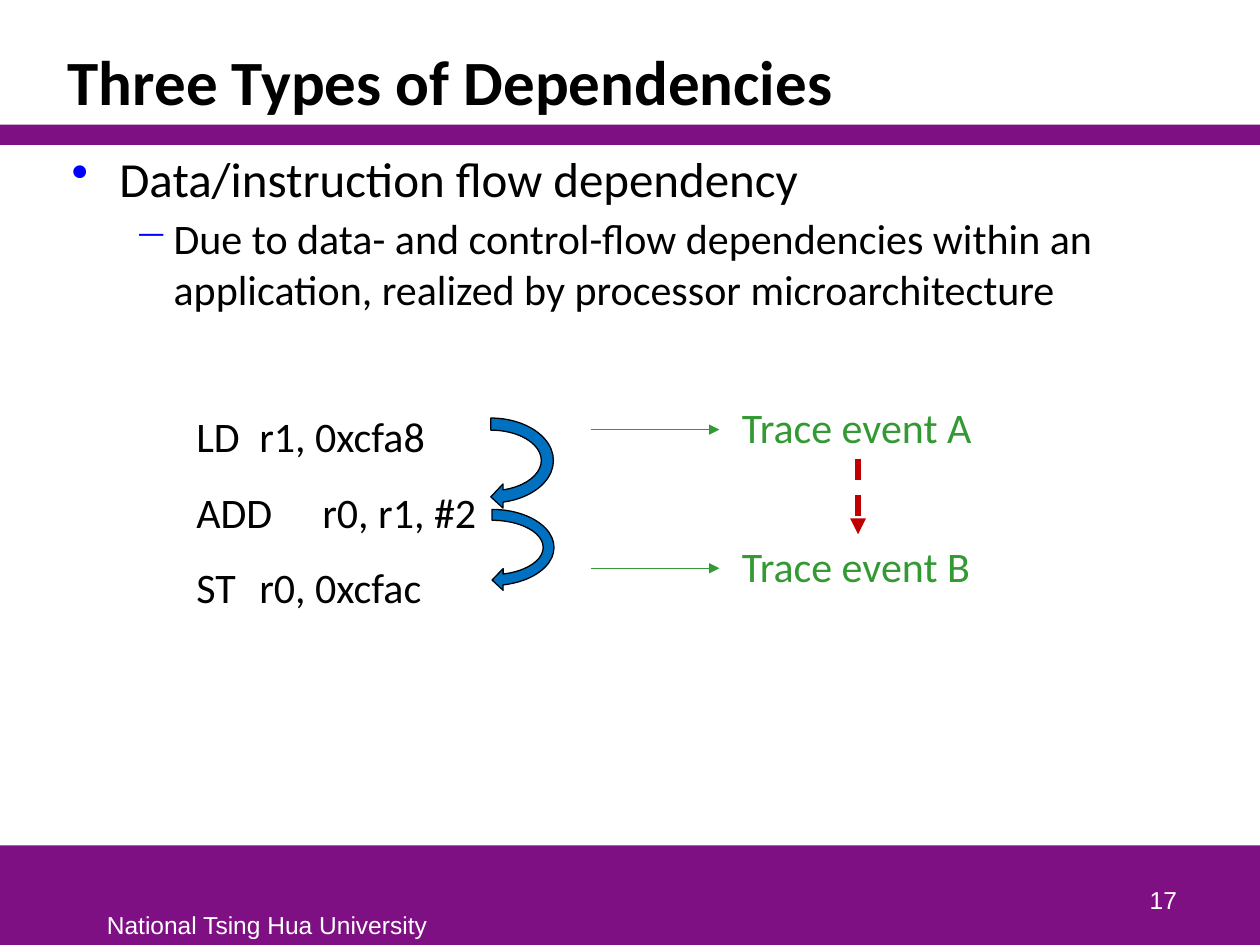
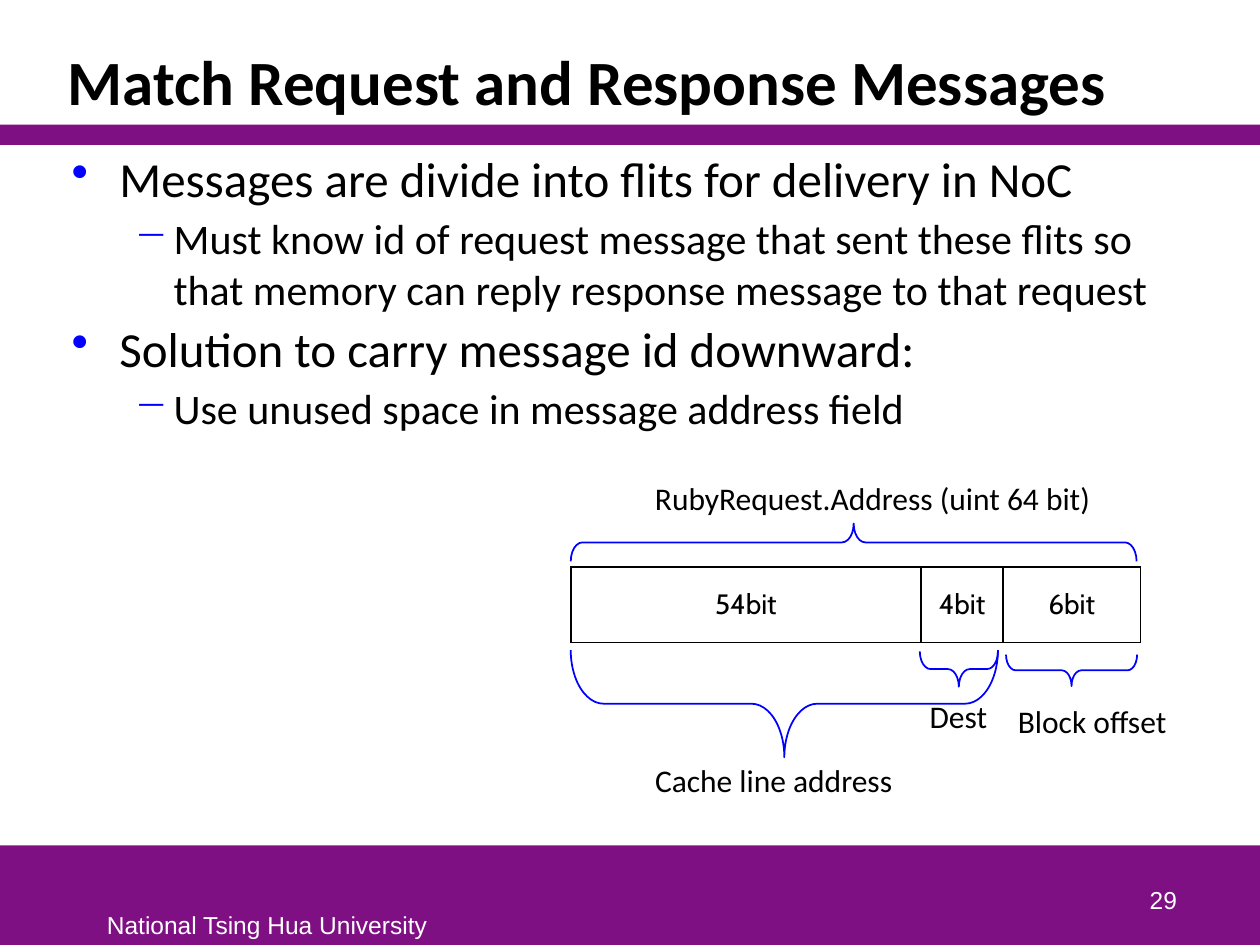
from lxml.etree import SubElement
from pptx import Presentation
from pptx.dml.color import RGBColor
from pptx.enum.dml import MSO_LINE
from pptx.enum.shapes import MSO_CONNECTOR, MSO_SHAPE
from pptx.enum.text import MSO_ANCHOR, MSO_AUTO_SIZE, PP_ALIGN
from pptx.oxml.ns import qn
from pptx.util import Inches, Pt

# The slide is a grid of 100 columns by 75 rows.
WIDTH, HEIGHT = Inches(10), Inches(7.5)
COLS, ROWS = 100, 75
PURPLE, BLUE, GREEN, RED = "7F1084", "0000FF", "339933", "C00000"
BLACK, WHITE, ARROW = "000000", "FFFFFF", "0070C0"
# Each level: bullet, size, left edge and hanging indent in inches
LEVELS = [("•", 28, 0.38, 0.38), ("−", 24, 0.81, 0.31)]


def color(code):
    return RGBColor.from_string(code)


def place(x, y, w, h):
    """Turn columns and rows into slide lengths."""
    return (round(x * WIDTH / COLS), round(y * HEIGHT / ROWS),
            round(w * WIDTH / COLS), round(h * HEIGHT / ROWS))


def style(para, words, size=18, font="Calibri", ink=BLACK, bold=False,
          align=PP_ALIGN.LEFT, lead=None, before=None):
    para.add_run().text = words
    para.alignment = align
    if lead:
        para.line_spacing = lead
    if before:
        para.space_before = Pt(before)
    para.font.size, para.font.name, para.font.bold = Pt(size), font, bold
    para.font.color.rgb = color(ink)


def bullet(para, mark, left, hang):
    props = para._p.get_or_add_pPr()
    props.set("marL", str(Inches(left)))
    props.set("indent", str(-Inches(hang)))
    SubElement(SubElement(props, qn("a:buClr")), qn("a:srgbClr"), val=BLUE)
    SubElement(props, qn("a:buChar"), char=mark)


def paras(frame, count):
    return [frame.paragraphs[0]] + [frame.add_paragraph() for _ in range(count - 1)]


def text(slide, box, *lines, wrap=True, grow=False, anchor=MSO_ANCHOR.TOP, **form):
    shape = slide.shapes.add_textbox(*place(*box))
    frame = shape.text_frame
    frame.word_wrap, frame.vertical_anchor = wrap, anchor
    if grow:
        frame.auto_size = MSO_AUTO_SIZE.SHAPE_TO_FIT_TEXT
    for para, words in zip(paras(frame, len(lines)), lines):
        style(para, words, **form)
    return shape


def solid(slide, kind, box, fill=None, line=None, width=1.0, turn=0):
    """Draw a preset shape that fills the box after a turn of 0, 90 or 270."""
    x, y, w, h = box
    if turn:
        x, y, w, h = x + (w - h) / 2, y + (h - w) / 2, h, w
    shape = slide.shapes.add_shape(kind, *place(x, y, w, h))
    shape.shadow.inherit = False
    shape.rotation = turn
    if fill:
        shape.fill.solid()
        shape.fill.fore_color.rgb = color(fill)
    else:
        shape.fill.background()
    if line:
        shape.line.color.rgb = color(line)
        shape.line.width = Pt(width)
    else:
        shape.line.fill.background()
    return shape


def arrow(slide, start, end, ink, width=0.75):
    link = slide.shapes.add_connector(
        MSO_CONNECTOR.STRAIGHT, *place(*start, *end))
    link.line.color.rgb = color(ink)
    link.line.width = Pt(width)
    SubElement(link.line._get_or_add_ln(), qn("a:tailEnd"), type="triangle")
    SubElement(link._element.spPr, qn("a:effectLst"))
    return link


def brace(slide, box, turn=270):
    shape = solid(slide, MSO_SHAPE.LEFT_BRACE, box, line=BLUE, turn=turn)
    shape.adjustments[0] = 0.307


def border(cell):
    props = cell._tc.get_or_add_tcPr()
    for spot, side in enumerate(("lnL", "lnR", "lnT", "lnB")):
        line = SubElement(props, qn("a:" + side), w=str(Pt(1)))
        fill = SubElement(line, qn("a:solidFill"))
        SubElement(fill, qn("a:srgbClr"), val=BLACK)
        props.remove(line)
        props.insert(spot, line)


def page(deck, title, number, points):
    """Add a slide with bands, title, footer and bulleted (level, words) points."""
    slide = deck.slides.add_slide(deck.slide_layouts[6])
    for top, tall in ((67.1, 7.9), (9.9, 1.6)):
        solid(slide, MSO_SHAPE.RECTANGLE, (0, top, COLS, tall), fill=PURPLE)
    foot = dict(size=14, font="Arial", ink=WHITE)
    text(slide, (7.5, 71.7, 27.6, 3.3), "National Tsing Hua University",
         wrap=False, grow=True, **foot)
    text(slide, (4.4, 2.5, 89.7, 7.4), title, size=36, bold=True, lead=0.85,
         anchor=MSO_ANCHOR.BOTTOM)
    body(slide, (4.7, 11.3, 89.4, 55.3), points)
    text(slide, (73.6, 68.1, 20.8, 5), str(number), align=PP_ALIGN.RIGHT,
         anchor=MSO_ANCHOR.BOTTOM, **foot)
    return slide


def body(slide, box, points):
    frame = slide.shapes.add_textbox(*place(*box)).text_frame
    frame.word_wrap = True
    for i, para in enumerate(paras(frame, len(points))):
        level, words = points[i]
        mark, size, left, hang = LEVELS[level]
        para.level = level
        bullet(para, mark, left, hang)
        style(para, words, size=size, before=3 if i else None)


def code(slide, x, y):
    """Place the instructions and the arrows between their registers."""
    text(slide, (x, y, 25.4, 19.2), "LD\tr1, 0xcfa8", "ADD\tr0, r1, #2",
         "ST\tr0, 0xcfac", size=24, lead=1.5, wrap=False, grow=True)
    for box in ((x + 18.9, y + 2.6, 10.9, 7.7), (x + 19.1, y + 9.9, 10.7, 6.9)):
        solid(slide, MSO_SHAPE.CIRCULAR_ARROW, box, fill=ARROW, line=BLACK,
              width=0.75, turn=90)


def trace(slide, x, y, gap):
    """Place the two trace events, each with its arrow, and their link."""
    events = []
    for i, name in enumerate("AB"):
        top = y + i * gap
        arrow(slide, (x, top + 2.7), (x + 10.2, top + 2.7), GREEN)
        events.append(text(slide, (x + 11, top, 20.4, 5), f"Trace event {name}",
                           size=24, ink=GREEN, wrap=False, grow=True))
    link = arrow(slide, (x + 21.2, y + 5), (x + 21.2, y + gap), RED, 3)
    link.line.dash_style = MSO_LINE.DASH
    link.begin_connect(events[0], 2)
    link.end_connect(events[1], 0)


def field(slide, x, y, w, h):
    """Place the address field as a table, with braces and labels around it."""
    parts = {"54bit": 27.8, "4bit": 6.5, "6bit": 10.9}
    holder = slide.shapes.add_table(1, len(parts), *place(x, y, w, h))
    table = holder.table
    table.first_row = table.horz_banding = False
    for i, (name, span) in enumerate(parts.items()):
        table.columns[i].width = round(span * WIDTH / COLS)
        cell = table.cell(0, i)
        cell.fill.background()
        cell.vertical_anchor = MSO_ANCHOR.MIDDLE
        border(cell)
        style(cell.text_frame.paragraphs[0], name, size=16, font="Cabin",
              align=PP_ALIGN.CENTER)

    brace(slide, (x, y - 3.45, w - 0.4, 3), turn=90)
    for left, top, span, tall in ((0, 6.6, 33.9, 8.5), (27.7, 6.7, 6.2, 2.8),
                                  (34.55, 6.95, 10.4, 2.5)):
        brace(slide, (x + left, y + top, span, tall))
    for left, top, span, words in (
            (5.7, -7.5, 37, "RubyRequest.Address (uint 64 bit)"),
            (27.5, 9.8, 6.6, "Dest"),
            (34.5, 10.2, 14, "Block offset"),
            (5.7, 14.9, 21.1, "Cache line address")):
        text(slide, (x + left, y + top, span, 4), words, wrap=False, grow=True)


def main():
    deck = Presentation()
    deck.slide_width, deck.slide_height = WIDTH, HEIGHT

    types = page(deck, "Three Types of Dependencies", 17, [
        (0, "Data/instruction flow dependency"),
        (1, "Due to data- and control-flow dependencies within an application, "
            "realized by processor microarchitecture")])
    code(types, 14.6, 30.1)
    trace(types, 46.9, 31.4, 11)

    match = page(deck, "Match Request and Response Messages", 29, [
        (0, "Messages are divide into flits for delivery in NoC"),
        (1, "Must know id of request message that sent these flits so that "
            "memory can reply response message to that request"),
        (0, "Solution to carry message id downward:"),
        (1, "Use unused space in message address field")])
    field(match, 45.3, 45, 45.3, 6)

    deck.save("out.pptx")


if __name__ == "__main__":
    main()
